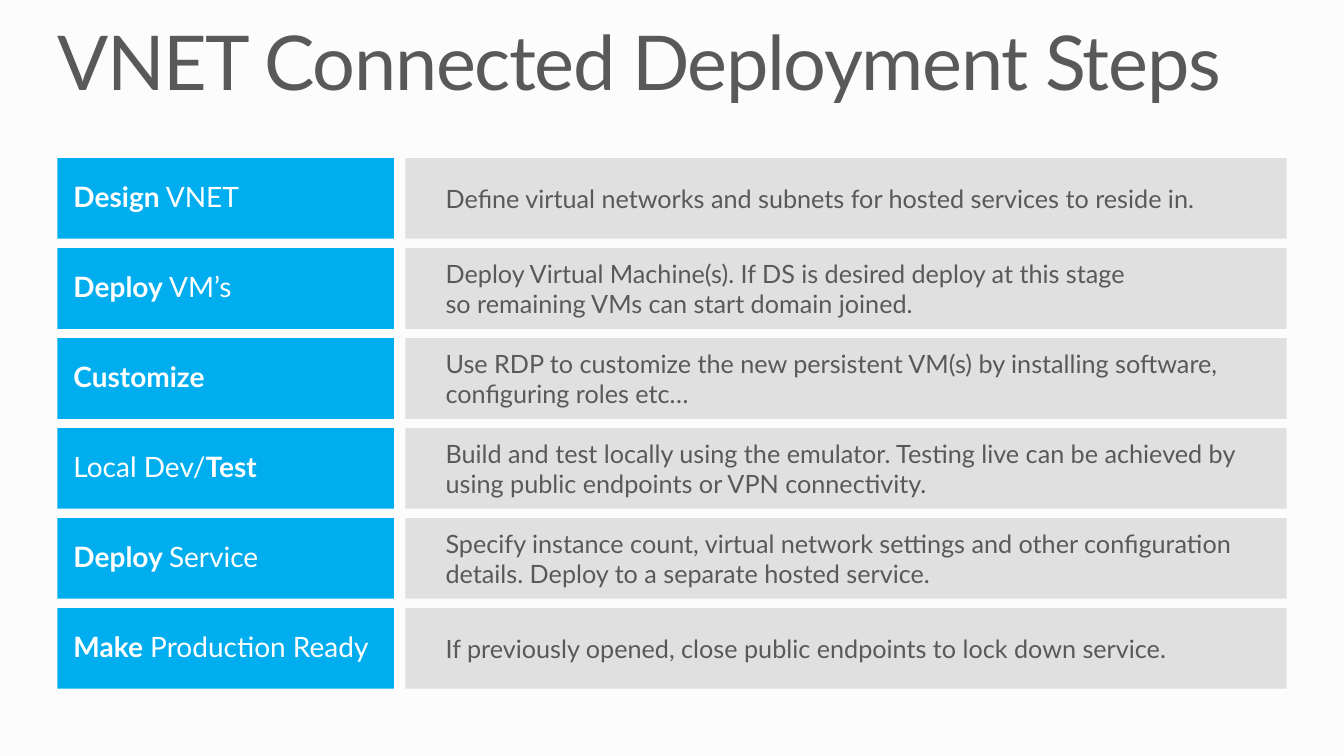
from lxml.etree import SubElement
from pptx import Presentation
from pptx.dml.color import RGBColor
from pptx.enum.shapes import MSO_SHAPE
from pptx.enum.text import MSO_ANCHOR, PP_ALIGN
from pptx.oxml.ns import qn
from pptx.util import Pt

COLORS = {"background": "FCFCFC", "step": "00AEEF", "detail": "DDDDDD",
          "ink": "595959", "step_ink": "FFFFFF"}
FONT = "Lato"

# Each step: label runs as (text, bold), then the lines of its explanation
STEPS = [
    ([("Design", True), (" VNET", False)],
     ["Define virtual networks and subnets for hosted services to reside in."]),
    ([("Deploy", True), (" VM’s", False)],
     ["Deploy Virtual Machine(s). If DS is desired deploy at this stage",
      "so remaining VMs can start domain joined."]),
    ([("Customize", True)],
     ["Use RDP to customize the new persistent VM(s) by installing software, "
      "configuring roles etc…"]),
    ([("Local Dev/", False), ("Test", True)],
     ["Build and test locally using the emulator. Testing live can be achieved "
      "by using public endpoints or VPN connectivity."]),
    ([("Deploy ", True), ("Service", False)],
     ["Specify instance count, virtual network settings and other configuration "
      "details. Deploy to a separate hosted service."]),
    ([("Make", True), (" Production Ready", False)],
     ["If previously opened, close public endpoints to lock down service."]),
]


def rgb(name):
    """Return the named palette colour."""
    return RGBColor.from_string(COLORS[name])


def add_run(paragraph, text, size, color, bold=False):
    """Append one formatted run."""
    run = paragraph.add_run()
    run.text = text
    run.font.name, run.font.size, run.font.bold = FONT, Pt(size), bold
    run.font.color.rgb = rgb(color)
    return run


def set_frame(frame, insets, anchor):
    """Wrap a text frame, set its insets and return its first paragraph."""
    frame.word_wrap = True
    frame.vertical_anchor = anchor
    (frame.margin_left, frame.margin_top,
     frame.margin_right, frame.margin_bottom) = map(Pt, insets)
    paragraph = frame.paragraphs[0]
    paragraph.alignment = PP_ALIGN.LEFT
    return paragraph


def add_panel(slide, box, color, insets):
    """Draw a flat rectangle; return it with its first paragraph."""
    panel = slide.shapes.add_shape(MSO_SHAPE.RECTANGLE, *map(Pt, box))
    panel.shadow.inherit = False
    panel.fill.solid()
    panel.fill.fore_color.rgb = rgb(color)
    panel.line.fill.background()
    return panel, set_frame(panel.text_frame, insets, MSO_ANCHOR.MIDDLE)


def add_title(slide, box, text):
    """Place the slide title, slightly tightened."""
    title = slide.shapes.add_textbox(*map(Pt, box))
    paragraph = set_frame(title.text_frame, (0, 0, 0, 0), MSO_ANCHOR.TOP)
    paragraph.line_spacing = 0.9
    run = add_run(paragraph, text, 54, "ink")
    run.font._element.set("spc", "-100")


def add_step_label(slide, box, label):
    """Place the blue panel that names a step."""
    _, paragraph = add_panel(slide, box, "step", (11.5, 7.2, 11.5, 7.2))
    paragraph.line_spacing = 0.9
    for text, bold in label:
        add_run(paragraph, text, 20, "step_ink", bold)


def add_step_detail(slide, box, lines):
    """Place the translucent grey panel that explains a step."""
    panel, paragraph = add_panel(slide, box, "detail", (28.8, 3.6, 7.2, 3.6))
    fill_color = panel._element.spPr.find(qn("a:solidFill"))[0]
    SubElement(fill_color, qn("a:alpha")).set("val", "90000")
    paragraph.space_before = Pt(6)
    for index, line in enumerate(lines):
        if index:
            paragraph.add_line_break()
        add_run(paragraph, line, 18, "ink")


def add_steps(slide, box, steps):
    """Stack the steps as equal rows of label and detail."""
    left, top, width, height = box
    row_height, label_width, gutter = 57.6, 240.5, 8
    pitch = (height - row_height) / (len(steps) - 1)
    detail_left = left + label_width + gutter
    detail_width = width - label_width - gutter
    for index, (label, lines) in enumerate(steps):
        row_top = top + index * pitch
        add_step_label(slide, (left, row_top, label_width, row_height), label)
        add_step_detail(slide, (detail_left, row_top, detail_width, row_height), lines)


def main():
    """Build and save the slide."""
    deck = Presentation()
    deck.slide_width, deck.slide_height = Pt(960), Pt(540)
    slide = deck.slides.add_slide(deck.slide_layouts[6])
    slide.background.fill.solid()
    slide.background.fill.fore_color.rgb = rgb("background")
    add_title(slide, (41, 18, 878, 59), "VNET Connected Deployment Steps")
    add_steps(slide, (41, 113, 878, 379), STEPS)
    deck.save("out.pptx")


main()
